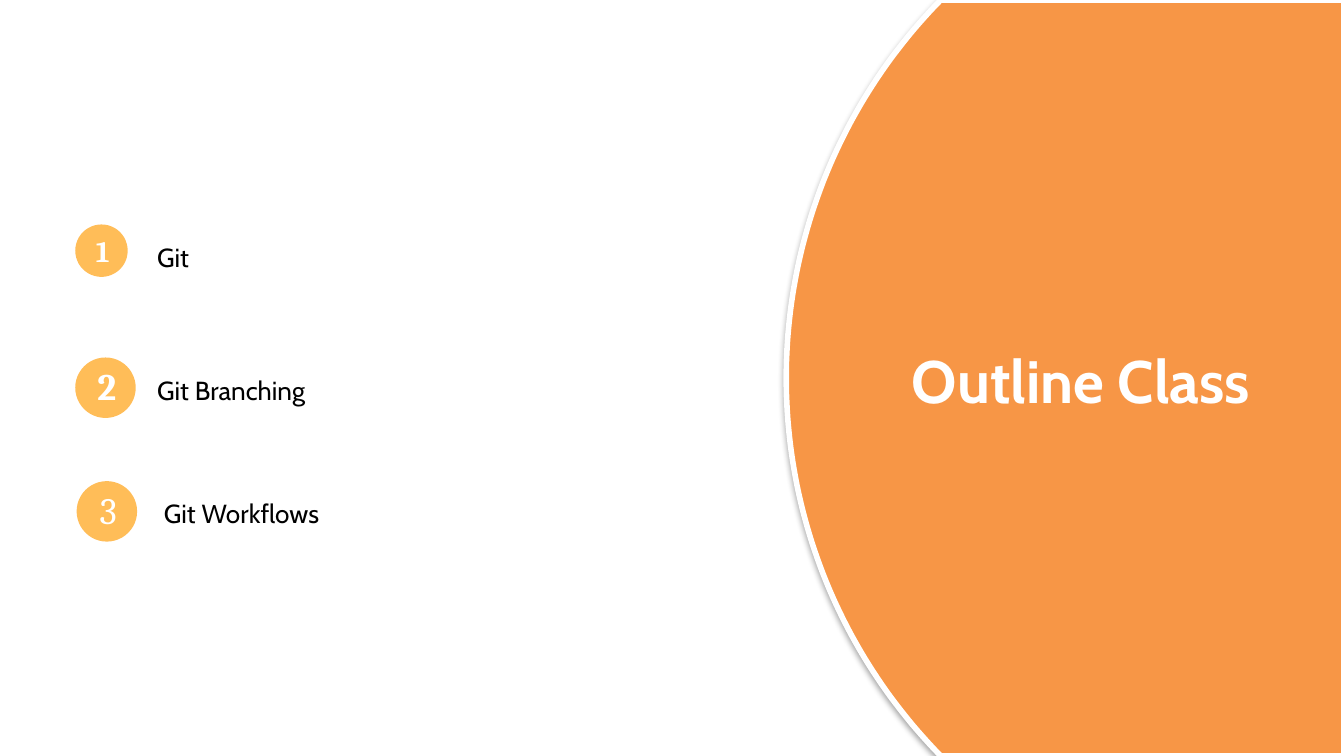
import math
from dataclasses import dataclass

from lxml import etree
from pptx import Presentation
from pptx.dml.color import RGBColor
from pptx.enum import shapes, text
from pptx.oxml import ns
from pptx.util import Inches, Pt

WHITE = RGBColor(0xFF, 0xFF, 0xFF)
BLACK = RGBColor(0x00, 0x00, 0x00)
ORANGE = RGBColor(0xF7, 0x96, 0x46)
AMBER = RGBColor(0xFF, 0xBD, 0x58)

SLIDE_W = 10
SLIDE_H = SLIDE_W * 9 / 16
PANEL_LEFT, PANEL_CHORD = 5.85, 7
ARC_STEPS = 100


@dataclass(frozen=True)
class OutlineItem:
    number: str
    label: str
    badge_left: float
    badge_top: float
    badge_size: float
    number_size: int
    number_bold: bool
    number_lift: float
    label_left: float
    label_top: float
    label_width: float


ITEMS = [
    OutlineItem("1", "Git", 0.56, 1.67, 0.39, 16, True, 0, 1.16, 1.75, 2.76),
    OutlineItem("2", "Git Branching", 0.56, 2.66, 0.45, 20, True, 0.03, 1.16, 2.74, 2.81),
    OutlineItem("3", "Git Workflows", 0.57, 3.58, 0.45, 20, False, 0.03, 1.21, 3.66, 3.49),
]


def write(sp, content: str, *, size: int, font: str = "Cabin",
          color: RGBColor = WHITE, bold: bool = False,
          align=text.PP_ALIGN.LEFT, anchor=text.MSO_ANCHOR.TOP,
          spacing: float = 1.0, left: float = 0.01, top: float = 0.01,
          bottom: float = 0) -> None:
    """Fill a shape with one formatted line; left, top and bottom are insets in inches."""
    tf = sp.text_frame
    tf.word_wrap = True
    tf.auto_size = text.MSO_AUTO_SIZE.NONE
    tf.vertical_anchor = anchor
    tf.margin_left, tf.margin_right = Inches(left), 0
    tf.margin_top, tf.margin_bottom = Inches(top), Inches(bottom)
    p = tf.paragraphs[0]
    p.alignment, p.line_spacing = align, spacing
    r = p.add_run()
    r.text = content
    r.font.name, r.font.size, r.font.bold = font, Pt(size), bold
    r.font.color.rgb = color


def add_soft_shadow(sp) -> None:
    effects = etree.SubElement(sp.element.spPr, ns.qn("a:effectLst"))
    shadow = etree.SubElement(effects, ns.qn("a:outerShdw"), blurRad=str(Pt(3.1)),
                              dist=str(Pt(1.6)), dir="5400000", rotWithShape="0")
    color = etree.SubElement(shadow, ns.qn("a:srgbClr"), val=str(BLACK))
    etree.SubElement(color, ns.qn("a:alpha"), val="37000")


def add_panel(slide) -> None:
    """Draw the panel whose left edge is a circular arc over the full slide height."""
    half, sag = SLIDE_H / 2, PANEL_CHORD - PANEL_LEFT
    radius = (half ** 2 + sag ** 2) / (2 * sag)
    sweep = math.asin(half / radius)
    angles = [sweep * (1 - 2 * i / ARC_STEPS) for i in range(ARC_STEPS + 1)]
    arc = [(PANEL_LEFT + radius * (1 - math.cos(a)), half + radius * math.sin(a))
           for a in angles]
    builder = slide.shapes.build_freeform(Inches(SLIDE_W), Inches(SLIDE_H))
    corners = arc + [(SLIDE_W, 0)]
    builder.add_line_segments([(Inches(x), Inches(y)) for x, y in corners], close=True)
    sp = builder.convert_to_shape()
    sp.fill.solid()
    sp.fill.fore_color.rgb = ORANGE
    sp.line.color.rgb = WHITE
    sp.line.width = Pt(3)
    add_soft_shadow(sp)


def add_item(slide, item: OutlineItem) -> None:
    size = Inches(item.badge_size)
    badge = slide.shapes.add_shape(shapes.MSO_SHAPE.OVAL, Inches(item.badge_left),
                                   Inches(item.badge_top), size, size)
    badge.shadow.inherit = False
    badge.fill.solid()
    badge.fill.fore_color.rgb = AMBER
    badge.line.fill.background()
    write(badge, item.number, size=item.number_size, font="Cambria",
          bold=item.number_bold, align=text.PP_ALIGN.CENTER,
          anchor=text.MSO_ANCHOR.MIDDLE, left=0.02, top=0, bottom=item.number_lift)
    label = slide.shapes.add_textbox(Inches(item.label_left), Inches(item.label_top),
                                     Inches(item.label_width), Inches(0.28))
    write(label, item.label, size=14, color=BLACK, spacing=1.15)


def add_title(slide) -> None:
    """Place the title placeholder in front of the panel."""
    sp = slide.shapes.title
    sp.left, sp.top = Inches(6.4), Inches(2.43)
    sp.width, sp.height = Inches(3.12), Inches(0.66)
    write(sp, "Outline Class", size=32, bold=True, align=text.PP_ALIGN.CENTER,
          spacing=1.19, left=0.17, top=0.03)
    sp.element.getparent().append(sp.element)


def main() -> None:
    prs = Presentation()
    prs.slide_width, prs.slide_height = Inches(SLIDE_W), Inches(SLIDE_H)
    slide = prs.slides.add_slide(prs.slide_layouts.get_by_name("Title Only"))
    add_panel(slide)
    add_title(slide)
    for item in ITEMS:
        add_item(slide, item)
    prs.save("out.pptx")


if __name__ == "__main__":
    main()
